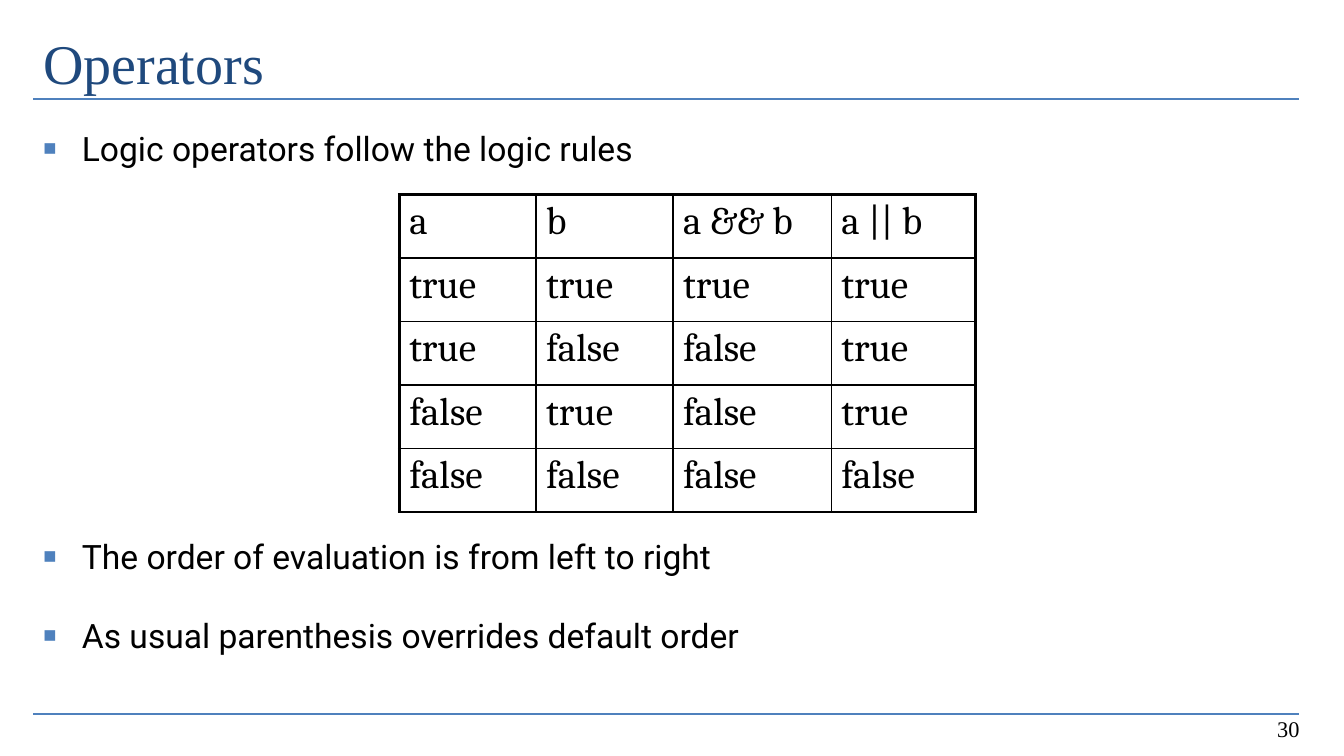
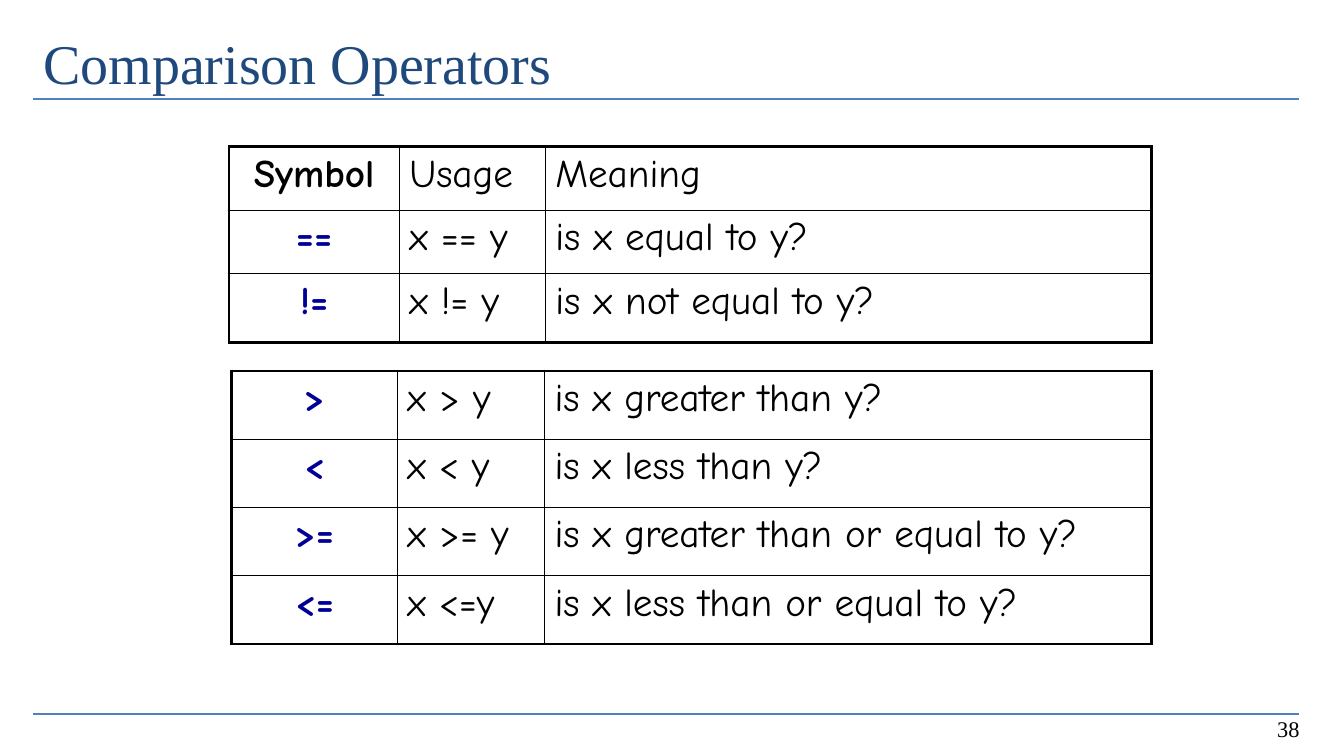
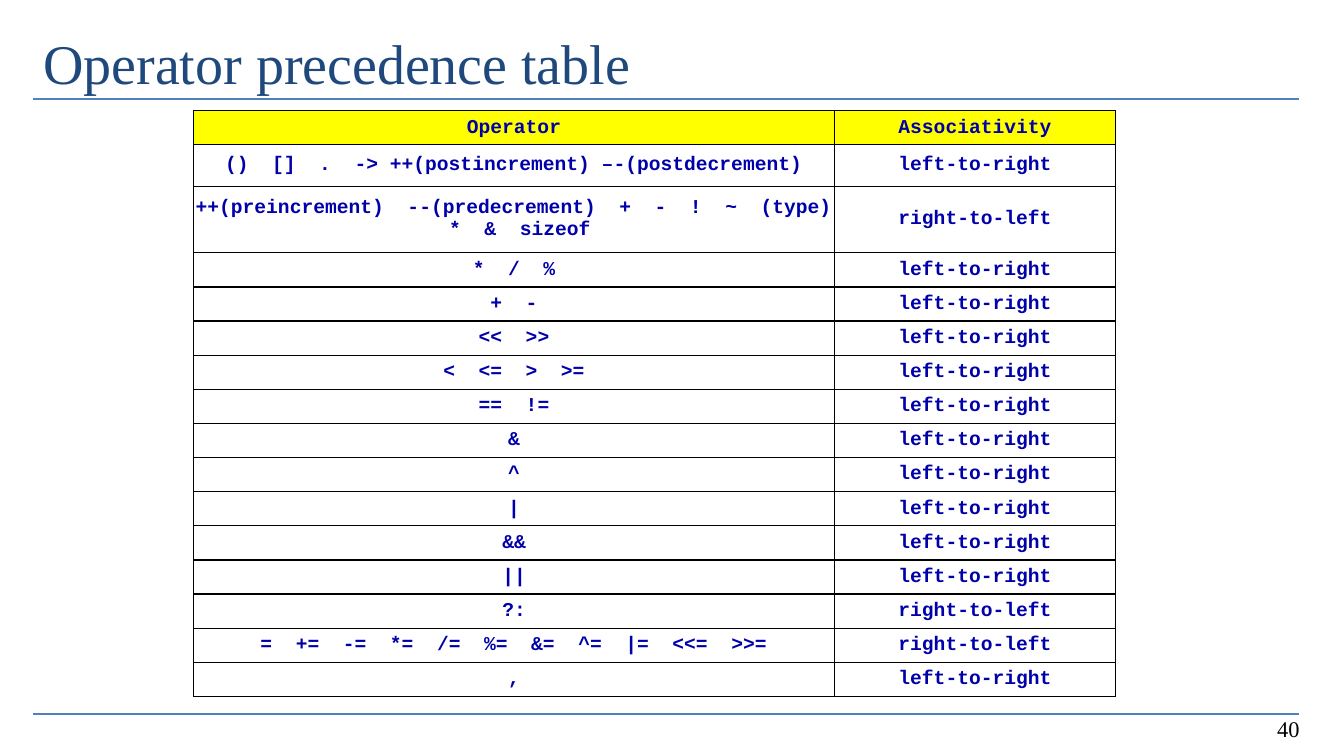
from lxml import etree
from pptx import Presentation
from pptx.dml.color import RGBColor
from pptx.enum.shapes import MSO_CONNECTOR
from pptx.enum.text import MSO_ANCHOR, MSO_AUTO_SIZE, PP_ALIGN
from pptx.oxml.ns import qn
from pptx.util import Cm, Pt

LEFT, MID, RIGHT = PP_ALIGN.LEFT, PP_ALIGN.CENTER, PP_ALIGN.RIGHT
TOP, CENTER, LOW = MSO_ANCHOR.TOP, MSO_ANCHOR.MIDDLE, MSO_ANCHOR.BOTTOM
FIXED = MSO_AUTO_SIZE.NONE
LINE = MSO_CONNECTOR.STRAIGHT

BLACK = RGBColor(0x00, 0x00, 0x00)
BLUE = RGBColor(0x4F, 0x81, 0xBD)
TITLE = RGBColor(0x1F, 0x49, 0x7D)
NAVY = RGBColor(0x00, 0x00, 0x96)
CODE = RGBColor(0x00, 0x00, 0xAA)
YELLOW = RGBColor(0xFF, 0xFF, 0x00)

SERIF, SANS = "Times New Roman", "Roboto"
EDGE, SPAN = 0.84, 31.9  # left edge and width of the content, in cm


def add(parent, tag, **attrs):
    """Append one DrawingML element."""
    node = etree.SubElement(parent, qn(tag))
    for name, value in attrs.items():
        node.set(name, str(value))
    return node


def put(para, text, font=SERIF, size=16, color=BLACK, bold=False,
        align=LEFT, before=0):
    """Write text into a paragraph with its format."""
    para.alignment = align
    para.space_before = Pt(before)
    run = para.add_run()
    run.text = text
    run.font.name = font
    run.font.size = Pt(size)
    run.font.bold = bold
    run.font.color.rgb = color


def bullet(para):
    """Give a paragraph the square blue bullet and hanging indent."""
    props = para._p.get_or_add_pPr()
    props.set("marL", str(Cm(0.97)))
    props.set("indent", str(-Cm(0.97)))
    add(add(props, "a:buClr"), "a:srgbClr", val=BLUE)
    add(props, "a:buSzPct", val=65000)
    add(props, "a:buChar", char="■")


def border(cell, widths):
    """Draw the left, right, top and bottom lines of a cell."""
    props = cell._tc.get_or_add_tcPr()
    for side, width in zip("LRTB", widths):
        line = add(props, f"a:ln{side}", w=Pt(width))
        add(add(line, "a:solidFill"), "a:srgbClr", val=BLACK)


class Deck:
    """Holds the shared style and the current slide."""

    def __init__(self):
        self.show = Presentation()
        self.show.slide_width = Cm(33.87)
        self.show.slide_height = Cm(19.05)

    def start(self, title, number, layout=5):
        """Open a slide with its title, two rules and number."""
        self.slide = self.show.slides.add_slide(self.show.slide_layouts[layout])
        for y in (18, 2.49):
            self.rule(y)
        frame = self.place(self.slide.shapes.title, EDGE, 0.43, SPAN, 2.97)
        frame.margin_top = Cm(0.28)
        put(frame.paragraphs[0], title, size=40, color=TITLE)
        box = self.slide.shapes.add_textbox(0, 0, 0, 0)
        frame = self.place(box, 25.1, 17.55, 7.9, 1.27, LOW)
        put(frame.paragraphs[0], str(number), align=RIGHT)

    def place(self, shape, x, y, width, height, anchor=TOP):
        """Move a text shape and return its text frame."""
        shape.left, shape.top = Cm(x), Cm(y)
        shape.width, shape.height = Cm(width), Cm(height)
        frame = shape.text_frame
        frame.word_wrap = True
        frame.auto_size = FIXED
        frame.vertical_anchor = anchor
        return frame

    def rule(self, y):
        line = self.slide.shapes.add_connector(
            LINE, Cm(EDGE), Cm(y), Cm(EDGE + SPAN), Cm(y))
        line.line.color.rgb = BLUE
        line.line.width = Pt(1.5)
        add(line._element.spPr, "a:effectLst")

    def list(self, items):
        """Fill the body with pairs of space before and text."""
        frame = self.place(self.slide.placeholders[1], EDGE, 3.1, SPAN, 14.43)
        for i, (gap, text) in enumerate(items):
            para = frame.add_paragraph() if i else frame.paragraphs[0]
            bullet(para)
            put(para, text, font=SANS, size=24, before=gap)

    def table(self, x, y, cols, rows, data, outer=2.25, tight=False,
              head=None, look=None, **style):
        """Add a ruled table; look(text, column) may change the style."""
        shape = self.slide.shapes.add_table(
            len(rows), len(cols), Cm(x), Cm(y), Cm(sum(cols)), Cm(sum(rows)))
        grid = shape.table
        grid.first_row = grid.horz_banding = False
        for col, width in zip(grid.columns, cols):
            col.width = Cm(width)
        for row, height in zip(grid.rows, rows):
            row.height = Cm(height)
        for r, line in enumerate(data):
            for c, text in enumerate(line):
                cell = grid.cell(r, c)
                ends = (c == 0, c == len(cols) - 1, r == 0, r == len(rows) - 1)
                border(cell, [outer if end else 1 for end in ends])
                if head and r == 0:
                    cell.fill.solid()
                    cell.fill.fore_color.rgb = head
                else:
                    cell.fill.background()
                if tight:
                    cell.margin_left = cell.margin_right = 0
                    cell.margin_top = cell.margin_bottom = 0
                    cell.vertical_anchor = CENTER
                extra = look(text, c) if look else {}
                put(cell.text_frame.paragraphs[0], text, **{**style, **extra})


def symbol(text, col):
    """Style of the symbol column in the comparison tables."""
    if col:
        return {}
    color = BLACK if text == "Symbol" else NAVY
    return dict(color=color, bold=True, align=MID)


def main():
    deck = Deck()

    # Logic operators
    deck.start("Operators", 30, layout=1)
    word = {True: "true", False: "false"}
    truth = [("a", "b", "a && b", "a || b")]
    for a in (True, False):
        for b in (True, False):
            truth.append([word[v] for v in (a, b, a and b, a or b)])
    deck.table(10.06, 4.9, (3.45, 3.45, 3.99, 3.63), [1.6] * 5, truth,
               font="Cambria", size=28)
    deck.list([
        (0, "Logic operators follow the logic rules"),
        (262.5, "The order of evaluation is from left to right"),
        (27.5, "As usual parenthesis overrides default order"),
    ])

    # Comparison operators
    deck.start("Comparison Operators", 38)
    style = dict(font="Comic Neue", size=28, look=symbol)
    deck.table(5.77, 3.7, (4.29, 3.68, 15.27), (1.6, 1.6, 1.73), [
        ("Symbol", "Usage", "Meaning"),
        ("==", "x == y", "is x equal to y?"),
        ("!=", "x != y", "is x not equal to y?"),
    ], **style)
    deck.table(5.84, 9.35, (4.17, 3.71, 15.29), [1.72] * 4, [
        (">", "x > y", "is x greater than y?"),
        ("<", "x < y", "is x less than y?"),
        (">=", "x >= y", "is x greater than or equal to y?"),
        ("<=", "x <=y", "is x less than or equal to y?"),
    ], **style)

    # Precedence
    deck.start("Operator precedence table", 40)
    unary = "++(preincrement)  --(predecrement)  +  -  !  ~  (type)  *  &  sizeof"
    assign = "=  +=  -=  *=  /=  %=  &=  ^=  |=  <<=  >>="
    ranks = ["()  []  .  -> ++(postincrement) –-(postdecrement)", unary,
             "*  /  %", "+  -", "<<  >>", "<  <=  >  >=", "==  !=",
             "&", "^", "|", "&&", "||", "?:", assign, ","]
    back = (unary, "?:", assign)
    data = [("Operator", "Associativity")]
    data += [(ops, "right-to-left" if ops in back else "left-to-right")
             for ops in ranks]
    deck.table(4.88, 2.79, (16.15, 7.09), [0.86, 1.04, 1.68] + [0.86] * 13,
               data, outer=1, tight=True, head=YELLOW, font="Courier New",
               size=14, color=CODE, bold=True, align=MID)

    deck.show.save("out.pptx")


if __name__ == "__main__":
    main()
